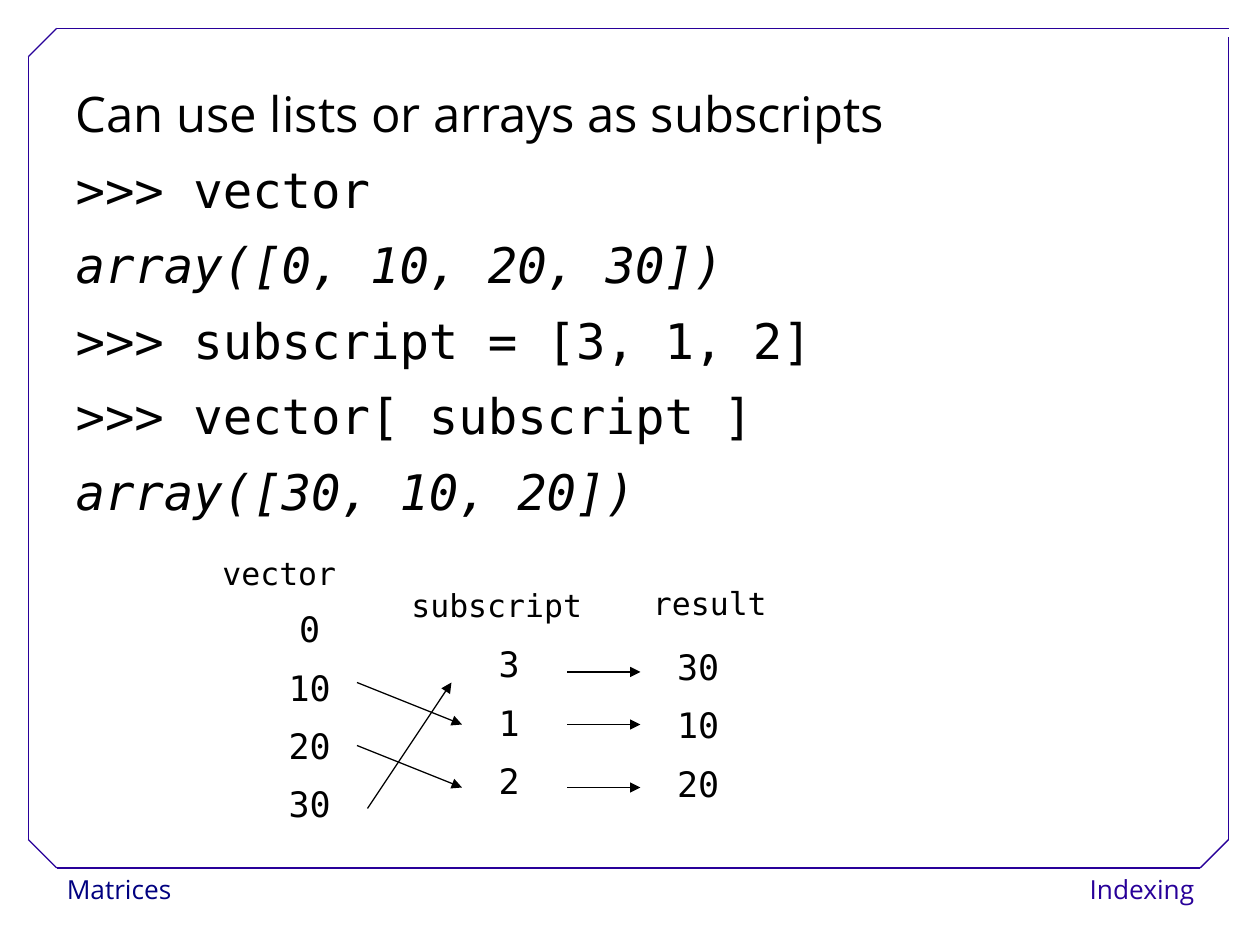
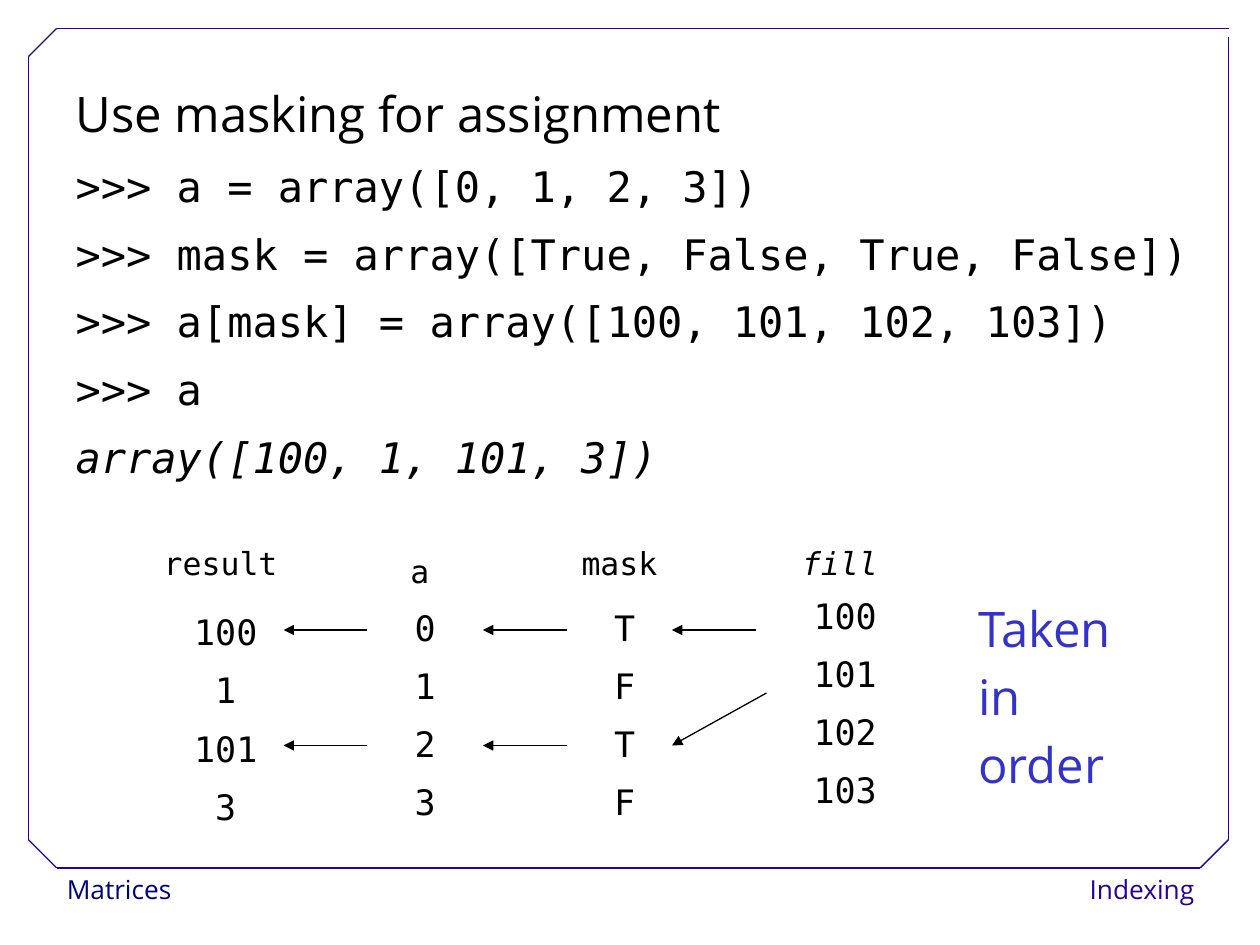
import pptx
import pptx.dml.color
import pptx.enum.dml
import pptx.enum.shapes
import pptx.enum.text
import pptx.oxml
import pptx.oxml.ns
import pptx.util
from lxml import etree

Pt = pptx.util.Pt
RGBColor = pptx.dml.color.RGBColor
ALIGN = pptx.enum.text.PP_ALIGN

BLACK = RGBColor(0, 0, 0)
WHITE = RGBColor(255, 255, 255)
NAVY = RGBColor(0x00, 0x00, 0x80)
VIOLET = RGBColor(0x28, 0x00, 0x99)
BLUE = RGBColor(0x33, 0x33, 0xCC)
SANS = "Open Sans"
MONO = "DejaVu Sans Mono"

HANGING = 24.5
ROW_HEIGHT = 33.3


def write(paragraph, text, font=MONO, size=18, color=BLACK, italic=False, align=ALIGN.LEFT,
          line=1.0, after=0, hanging=0):
    properties = paragraph._p.get_or_add_pPr()
    properties.set("marL", str(Pt(hanging)))
    properties.set("indent", str(-Pt(hanging)))
    etree.SubElement(properties, pptx.oxml.ns.qn("a:buNone"))
    paragraph.alignment = align
    paragraph.line_spacing = line
    paragraph.space_before = Pt(0)
    paragraph.space_after = Pt(after)
    run = paragraph.add_run()
    run.text = text
    run.font.name = font
    run.font.size = Pt(size)
    run.font.color.rgb = color
    run.font.italic = italic
    run.font.bold = False


def set_frame(frame, side=7.2, end=3.6):
    frame.word_wrap = True
    frame.auto_size = pptx.enum.text.MSO_AUTO_SIZE.NONE
    frame.vertical_anchor = pptx.enum.text.MSO_ANCHOR.TOP
    frame.margin_left = frame.margin_right = Pt(side)
    frame.margin_top = frame.margin_bottom = Pt(end)


def write_lines(frame, lines, **shared):
    """Write one paragraph for each (text, own format) pair."""
    for number, (text, own) in enumerate(lines):
        paragraph = frame.add_paragraph() if number else frame.paragraphs[0]
        write(paragraph, text, **{**shared, **own})


def draw_line(slide, start, end, color=BLACK, arrow=False):
    line = slide.shapes.add_connector(
        pptx.enum.shapes.MSO_CONNECTOR.STRAIGHT, *map(Pt, (*start, *end)))
    line.line.color.rgb = color
    line.line.width = Pt(0.75)
    if arrow:
        tail = etree.SubElement(line.line._get_or_add_ln(), pptx.oxml.ns.qn("a:tailEnd"))
        tail.set("type", "triangle")
    etree.SubElement(line._element.spPr, pptx.oxml.ns.qn("a:effectLst"))


def add_footer(slide, left, width, text, color, align):
    footer = slide.shapes.add_shape(
        pptx.enum.shapes.MSO_SHAPE.RECTANGLE, Pt(left), Pt(496), Pt(width), Pt(26.6))
    footer.shadow.inherit = False
    footer.fill.solid()
    footer.fill.fore_color.rgb = WHITE
    footer.line.fill.background()
    set_frame(footer.text_frame, 6.5, 2.9)
    write(footer.text_frame.paragraphs[0], text, font=SANS, size=15, color=color,
          align=align, line=1.02)


def add_border(slide, left, top, right, bottom, cut=16.2):
    """Draw the outline with three cut corners and an open top right one."""
    for start, end in (
        ((left + cut, bottom), (right - cut, bottom)),
        ((left, bottom - cut), (left, top + cut)),
        ((left + cut, top), (right, top)),
        ((right, bottom - cut), (right, top + 4.7)),
        ((left, top + cut), (left + cut, top)),
        ((right - cut, bottom), (right, bottom - cut)),
        ((left, bottom - cut), (left + cut, bottom)),
    ):
        draw_line(slide, start, end, VIOLET)


def start_slide(deck, heading, code, code_size, width=648):
    """Add a slide with border, footers, heading and code; results are italic."""
    slide = deck.slides.add_slide(deck.slide_layouts[1])
    title = slide.shapes.title.element
    title.getparent().remove(title)
    add_footer(slide, 31.7, 140.4, "Matrices", NAVY, ALIGN.LEFT)
    add_footer(slide, 597.6, 91.4, "Indexing", VIOLET, ALIGN.RIGHT)
    add_border(slide, 16.2, 16.2, 702, 496)

    body = slide.placeholders[1]
    body.left, body.top, body.width, body.height = map(Pt, (36, 48, width, 438))
    set_frame(body.text_frame)
    lines = [(heading, {"font": SANS, "size": 28})]
    lines += [(text, {"italic": not text.startswith(">>>")}) for text in code]
    write_lines(body.text_frame, lines, size=code_size, line=0.9, after=12.9, hanging=HANGING)
    return slide


def add_text(slide, left, top, width, height, lines, **style):
    box = slide.shapes.add_textbox(*map(Pt, (left, top, width, height)))
    set_frame(box.text_frame)
    write_lines(box.text_frame, [(text, {}) for text in lines], **style)


def add_column(slide, left, top, width, values):
    shape = slide.shapes.add_table(
        len(values), 1, Pt(left), Pt(top), Pt(width), Pt(ROW_HEIGHT * len(values)))
    table = shape.table
    table.first_row = table.horz_banding = False
    for row, value in enumerate(values):
        table.rows[row].height = Pt(ROW_HEIGHT)
        cell = table.cell(row, 0)
        cell.fill.background()
        cell.margin_left = cell.margin_right = Pt(7.2)
        cell.margin_top = cell.margin_bottom = Pt(3.6)
        write(cell.text_frame.paragraphs[0], value, size=20, align=ALIGN.CENTER,
              line=0.93, after=12.9)


def add_subscript_slide(deck):
    slide = start_slide(deck, "Can use lists or arrays as subscripts", [
        ">>> vector",
        "array([0, 10, 20, 30])",
        ">>> subscript = [3, 1, 2]",
        ">>> vector[ subscript ]",
        "array([30, 10, 20])",
    ], 28)
    for left, top, values in (
        (156, 346.5, ("0", "10", "20", "30")),
        (270, 366.5, ("3", "1", "2")),
        (378, 368, ("30", "10", "20")),
    ):
        add_column(slide, left, top, 42, values)
    for name, left, top, width in (
        ("vector", 120, 313, 90), ("subscript", 228, 331.5, 114), ("result", 366, 330, 84),
    ):
        add_text(slide, left, top, width, 29, [name])
    draw_line(slide, (210, 462), (258, 390), arrow=True)
    for y in (390, 426):
        draw_line(slide, (204, y), (264, y + 24), arrow=True)
    for y in (384, 414, 450):
        draw_line(slide, (324, y), (366, y), arrow=True)


def add_masking_slide(deck):
    slide = start_slide(deck, "Use masking for assignment", [
        ">>> a = array([0, 1, 2, 3])",
        ">>> mask = array([True, False, True, False])",
        ">>> a[mask] = array([100, 101, 102, 103])",
        ">>> a",
        "array([100, 1, 101, 3])",
    ], 24, width=666)
    for left, top, width, values in (
        (444, 338.5, 78, ("100", "101", "102", "103")),
        (222, 345.5, 42, ("0", "1", "2", "3")),
        (336, 345.5, 42, ("T", "F", "T", "F")),
        (90, 348, 78, ("100", "1", "101", "3")),
    ):
        add_column(slide, left, top, width, values)
    for name, left, top, width in (
        ("result", 78, 307.5, 96), ("a", 204, 312, 72),
        ("mask", 318, 307.5, 72), ("fill", 444, 307.5, 72),
    ):
        add_text(slide, left, top, width, 29, [name], align=ALIGN.CENTER, italic=name == "fill")
    add_text(slide, 552, 342, 96, 126, ["Taken", "in", "order"], font=SANS, size=28,
             color=BLUE, line=0.9, after=8.8, hanging=HANGING)
    for y in (360, 426):
        for start in (210, 324):
            draw_line(slide, (start, y), (start - 48, y), arrow=True)
    draw_line(slide, (432, 360), (384, 360), arrow=True)
    draw_line(slide, (438, 396), (384, 426), arrow=True)


def main():
    deck = pptx.Presentation()
    deck.slide_width, deck.slide_height = Pt(720), Pt(540)
    add_subscript_slide(deck)
    add_masking_slide(deck)
    deck.save("out.pptx")


if __name__ == "__main__":
    main()
